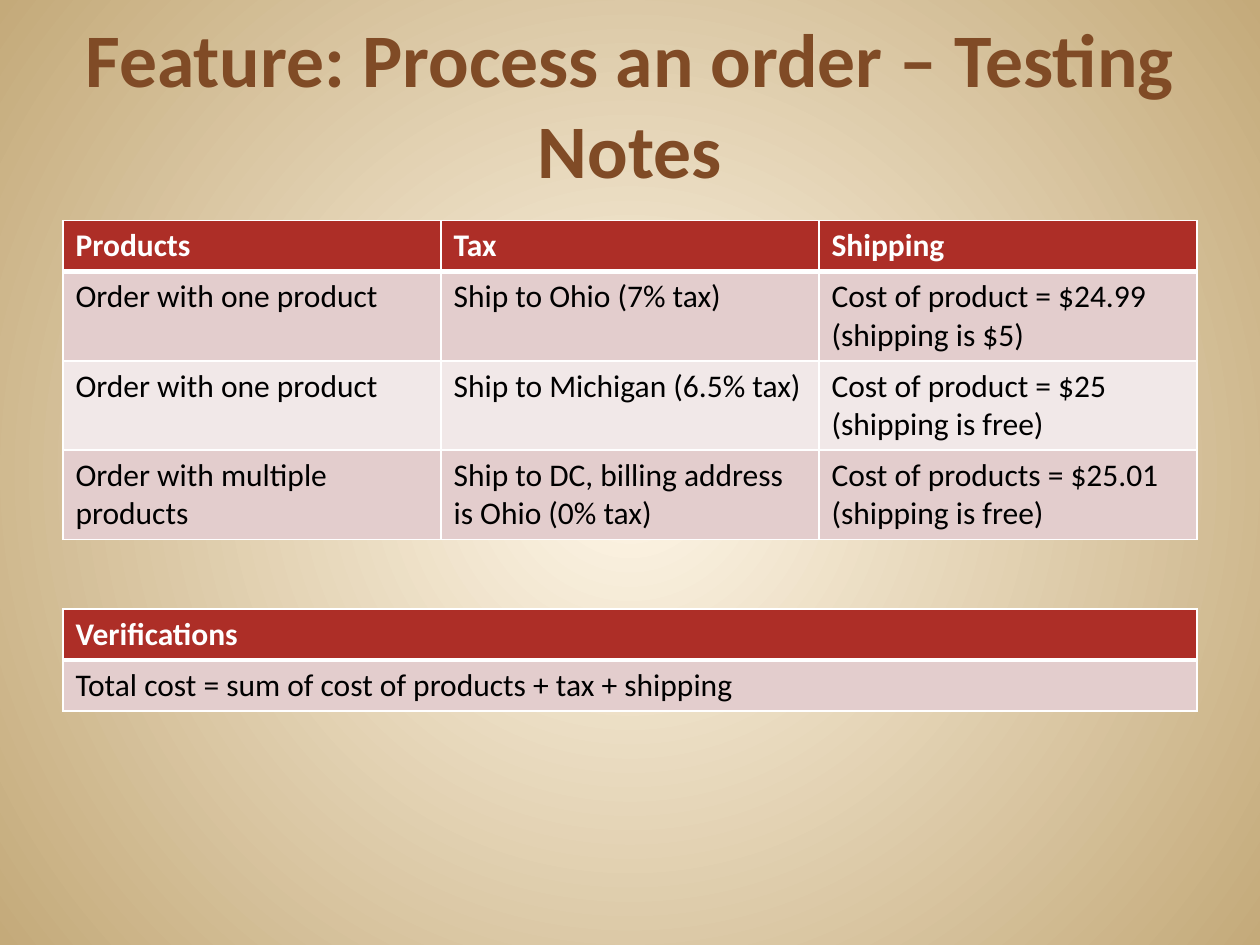
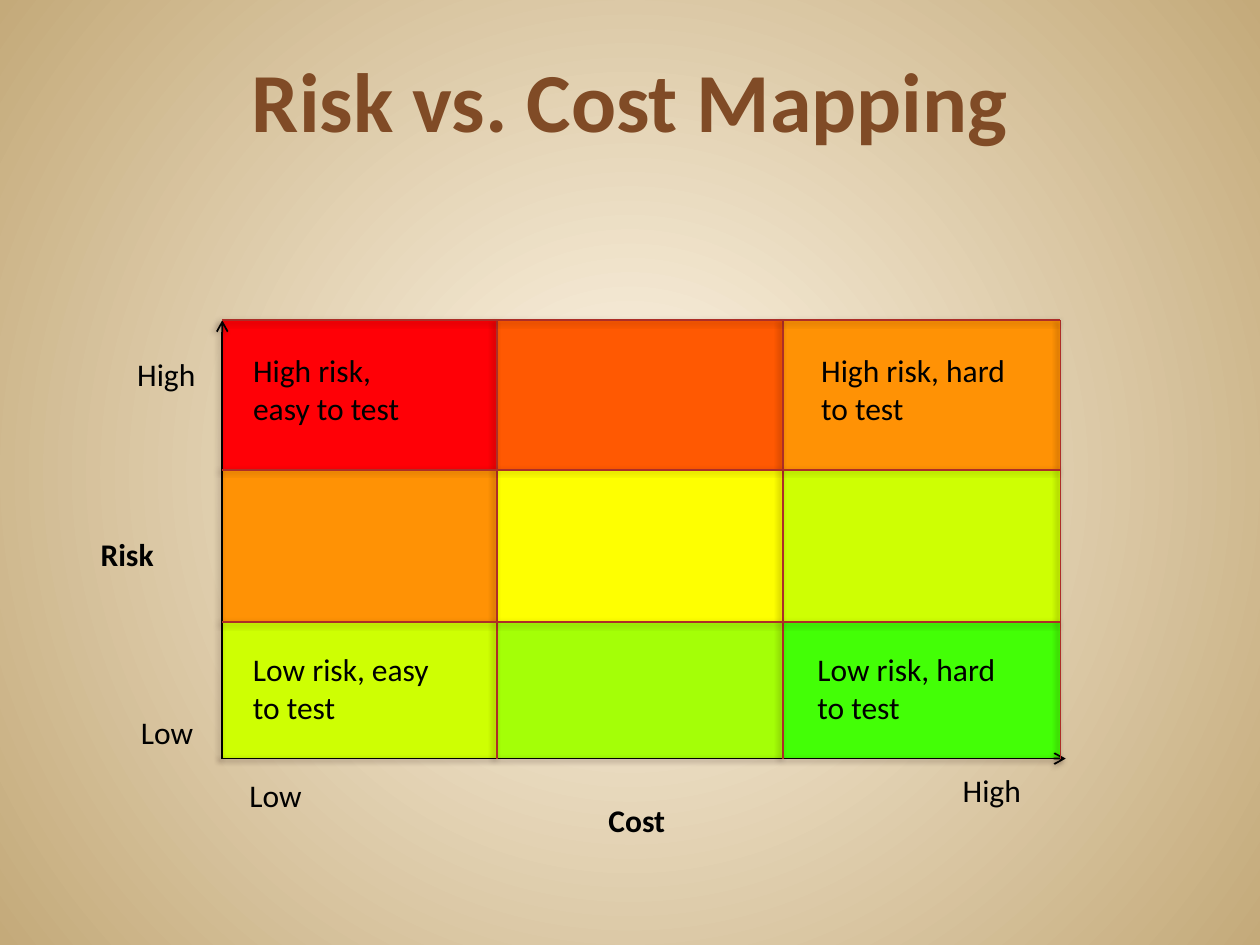
from lxml import etree
from pptx import Presentation
from pptx import util as u
from pptx.dml.color import RGBColor
from pptx.enum import shapes, text
from pptx.oxml import parse_xml
from pptx.oxml.ns import nsdecls, qn

Pt = u.Pt
FONT = "Calibri"
COLORS = {
    "glow": "FFF7E8", "sand": "C4AA7A", "title": "804B26",
    "brick": "AD2E27", "band_dark": "E3CDCD", "band_light": "F1E8E8",
    "white": "FFFFFF", "black": "000000", "shadow": "1A0000",
    "red": "FF0006", "vermilion": "FF5902", "orange": "FF9205",
    "yellow": "FEFF01", "lime": "CEFF03", "leaf": "A4FF07", "green": "43FF06",
}

# Tables: header row first
TEST_CASES = [
    ["Products", "Tax", "Shipping"],
    ["Order with one product", "Ship to Ohio (7% tax)",
     "Cost of product = $24.99 (shipping is $5)"],
    ["Order with one product", "Ship to Michigan (6.5% tax)",
     "Cost of product = $25 (shipping is free)"],
    ["Order with multiple products",
     "Ship to DC, billing address is Ohio (0% tax)",
     "Cost of products = $25.01 (shipping is free)"],
]
VERIFICATIONS = [
    ["Verifications"],
    ["Total cost = sum of cost of products + tax + shipping"],
]

# Risk matrix: cell edges and colours, high risk on top
X_EDGES = [127, 284, 447.5, 606]
Y_EDGES = [183, 268.5, 355.5, 433.5]
MATRIX = [
    ["red", "vermilion", "orange"],
    ["orange", "yellow", "lime"],
    ["lime", "leaf", "green"],
]
AXIS_LABELS = [  # text, left, top, width, bold
    ("High", 71.3, 199.4, 54, False),
    ("Low", 73.4, 404, 49.7, False),
    ("Risk", 50.4, 302.4, 48.2, True),
    ("Low", 135.4, 440, 49.7, False),
    ("High", 543, 437, 54, False),
    ("Cost", 340.6, 454.3, 54, True),
]
CORNER_NOTES = [  # text, left, top, width
    ("High risk,\neasy to test", 137.5, 197.3, 144.7),
    ("Low risk, easy to test", 137.5, 368, 116),
    ("High risk, hard to test", 462.2, 197.3, 127.4),
    ("Low risk, hard to test", 460, 368, 123.8),
]


def rgb(name):
    return RGBColor.from_string(COLORS[name])


def style_text(tf, size=18, color="black", bold=False, align=None):
    for p in tf.paragraphs:
        p.alignment = align
        for r in p.runs:
            r.font.name, r.font.size, r.font.bold = FONT, Pt(size), bold
            r.font.color.rgb = rgb(color)


def add_text(s, content, left, top, width, height, wrap=True,
             anchor=text.MSO_ANCHOR.TOP, **style):
    tf = s.shapes.add_textbox(Pt(left), Pt(top), Pt(width), Pt(height)).text_frame
    tf.word_wrap = wrap
    tf.vertical_anchor = anchor
    tf.text = content
    style_text(tf, **style)


def add_slide(prs, title, size, anchor):
    """Blank slide with the shared glow background and title style."""
    s = prs.slides.add_slide(prs.slide_layouts[6])
    fill = s.background.fill
    fill.gradient()
    for stop, position, name in zip(fill.gradient_stops, (0, 1), ("glow", "sand")):
        stop.position = position
        stop.color.rgb = rgb(name)
    lin = s.background._cSld.find(".//" + qn("a:lin"))
    lin.getparent().replace(lin, parse_xml(
        f'<a:path {nsdecls("a")} path="circle">'
        '<a:fillToRect l="50000" t="50000" r="50000" b="50000"/></a:path>'))
    add_text(s, title, 36, 24, 648, 90, anchor=anchor, size=size,
             color="title", bold=True, align=text.PP_ALIGN.CENTER)
    return s


def set_borders(cell, top, bottom):
    tc_pr = cell._tc.get_or_add_tcPr()
    for side, width in (("L", 1), ("R", 1), ("T", top), ("B", bottom)):
        tc_pr.append(parse_xml(
            f'<a:ln{side} {nsdecls("a")} w="{Pt(width)}"><a:solidFill>'
            f'<a:srgbClr val="{COLORS["white"]}"/></a:solidFill></a:ln{side}>'))


def add_grid_table(s, rows, top, row_heights):
    """Full-width table: brick header over alternating bands."""
    table = s.shapes.add_table(len(rows), len(rows[0]), Pt(36), Pt(top),
                               Pt(648), Pt(sum(row_heights))).table
    table.first_row = table.horz_banding = False
    for i, (row, height) in enumerate(zip(rows, row_heights)):
        table.rows[i].height = Pt(height)
        header = i == 0
        band = "brick" if header else ("band_light", "band_dark")[i % 2]
        for j, content in enumerate(row):
            cell = table.cell(i, j)
            cell.text = content
            style_text(cell.text_frame, bold=header,
                       color="white" if header else "black")
            set_borders(cell, top=3 if i == 1 else 1, bottom=3 if header else 1)
            cell.fill.solid()
            cell.fill.fore_color.rgb = rgb(band)


def add_cell(s, color, left, top, right, bottom):
    sp = s.shapes.add_shape(shapes.MSO_SHAPE.RECTANGLE, Pt(left), Pt(top),
                            Pt(right - left), Pt(bottom - top))
    sp.shadow.inherit = False
    sp.fill.solid()
    sp.fill.fore_color.rgb = rgb(color)
    sp.line.color.rgb = rgb("brick")
    sp.line.width = Pt(0.39)


def add_line(s, x1, y1, x2, y2, color="brick", arrow=False):
    """Straight line with a soft shadow."""
    line = s.shapes.add_connector(shapes.MSO_CONNECTOR.STRAIGHT,
                                  Pt(x1), Pt(y1), Pt(x2), Pt(y2))
    line.line.color.rgb = rgb(color)
    line.line.width = Pt(1)
    if arrow:
        etree.SubElement(line.line._get_or_add_ln(), qn("a:tailEnd"), type="arrow")
    line._element.spPr.append(parse_xml(
        f'<a:effectLst {nsdecls("a")}><a:outerShdw blurRad="{Pt(3.1)}" '
        f'dist="{Pt(2)}" dir="9000000" rotWithShape="0">'
        f'<a:srgbClr val="{COLORS["shadow"]}"><a:alpha val="35000"/></a:srgbClr>'
        '</a:outerShdw></a:effectLst>'))


def add_risk_matrix(s):
    left, right = X_EDGES[0], X_EDGES[-1]
    top, bottom = Y_EDGES[0], Y_EDGES[-1]
    for i, row in enumerate(MATRIX):
        for j, color in enumerate(row):
            add_cell(s, color, X_EDGES[j], Y_EDGES[i], X_EDGES[j + 1], Y_EDGES[i + 1])
    # Axes
    add_line(s, left, bottom, left, top, "black", arrow=True)
    add_line(s, left, bottom, right + 3, bottom, "black", arrow=True)
    # Labels
    for label, x, y, width, bold in AXIS_LABELS:
        add_text(s, label, x, y, width, 29, wrap=False, bold=bold)
    for note, x, y, width in CORNER_NOTES:
        add_text(s, note, x, y, width, 51)
    # Grid lines
    for x in X_EDGES[1:]:
        add_line(s, x, bottom, x, top)
    for y in Y_EDGES[:-1]:
        add_line(s, right, y, left, y)


def main():
    prs = Presentation()
    prs.slide_width, prs.slide_height = Pt(720), Pt(540)

    # Testing notes
    s = add_slide(prs, "Feature: Process an order – Testing Notes", 43.2,
                  text.MSO_ANCHOR.BOTTOM)
    add_grid_table(s, TEST_CASES, 126, [29.2] + [51] * 3)
    add_grid_table(s, VERIFICATIONS, 348, [29.2] * 2)

    # Risk against cost
    s = add_slide(prs, "Risk vs. Cost Mapping", 48, text.MSO_ANCHOR.TOP)
    add_risk_matrix(s)

    prs.save("out.pptx")


if __name__ == "__main__":
    main()
